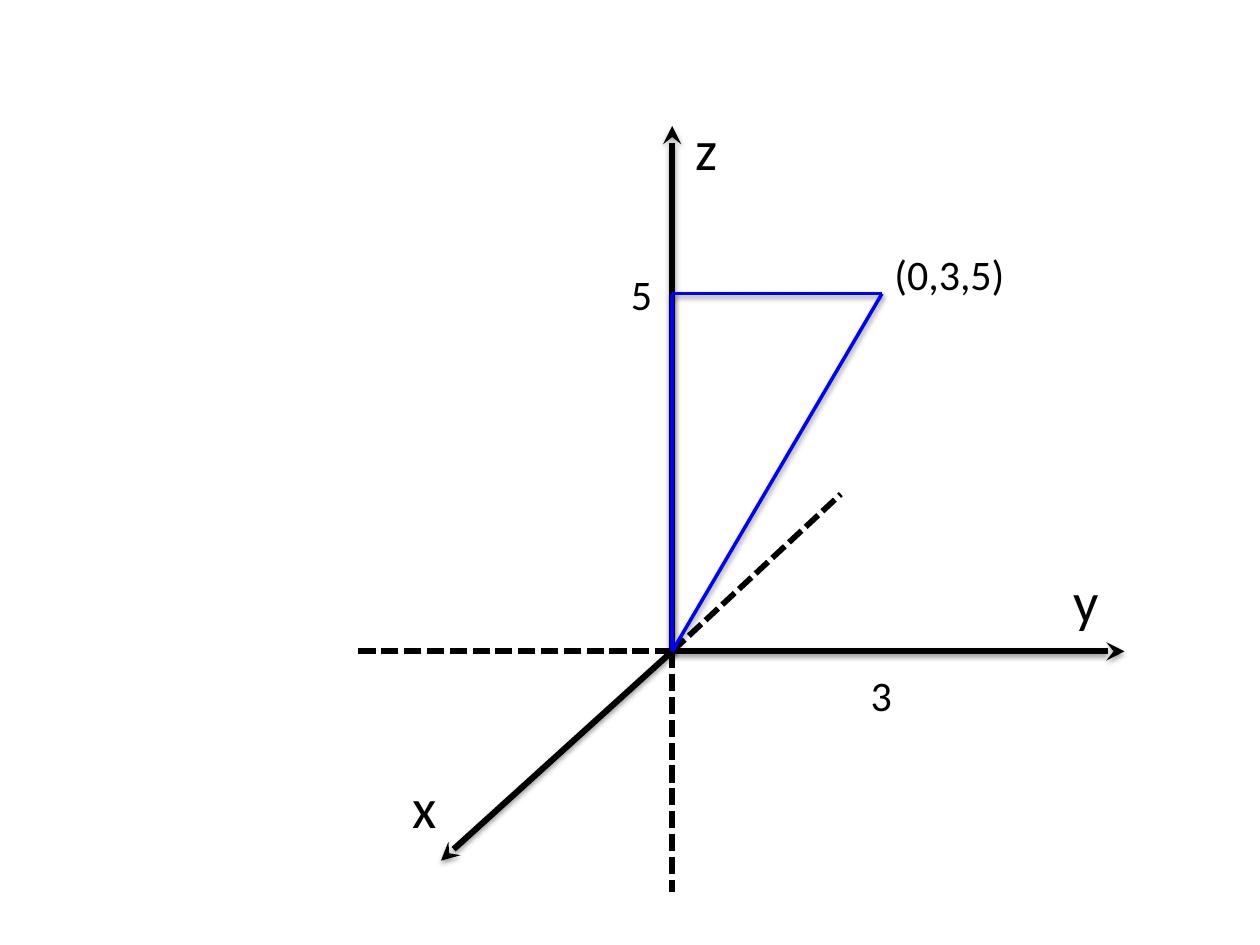
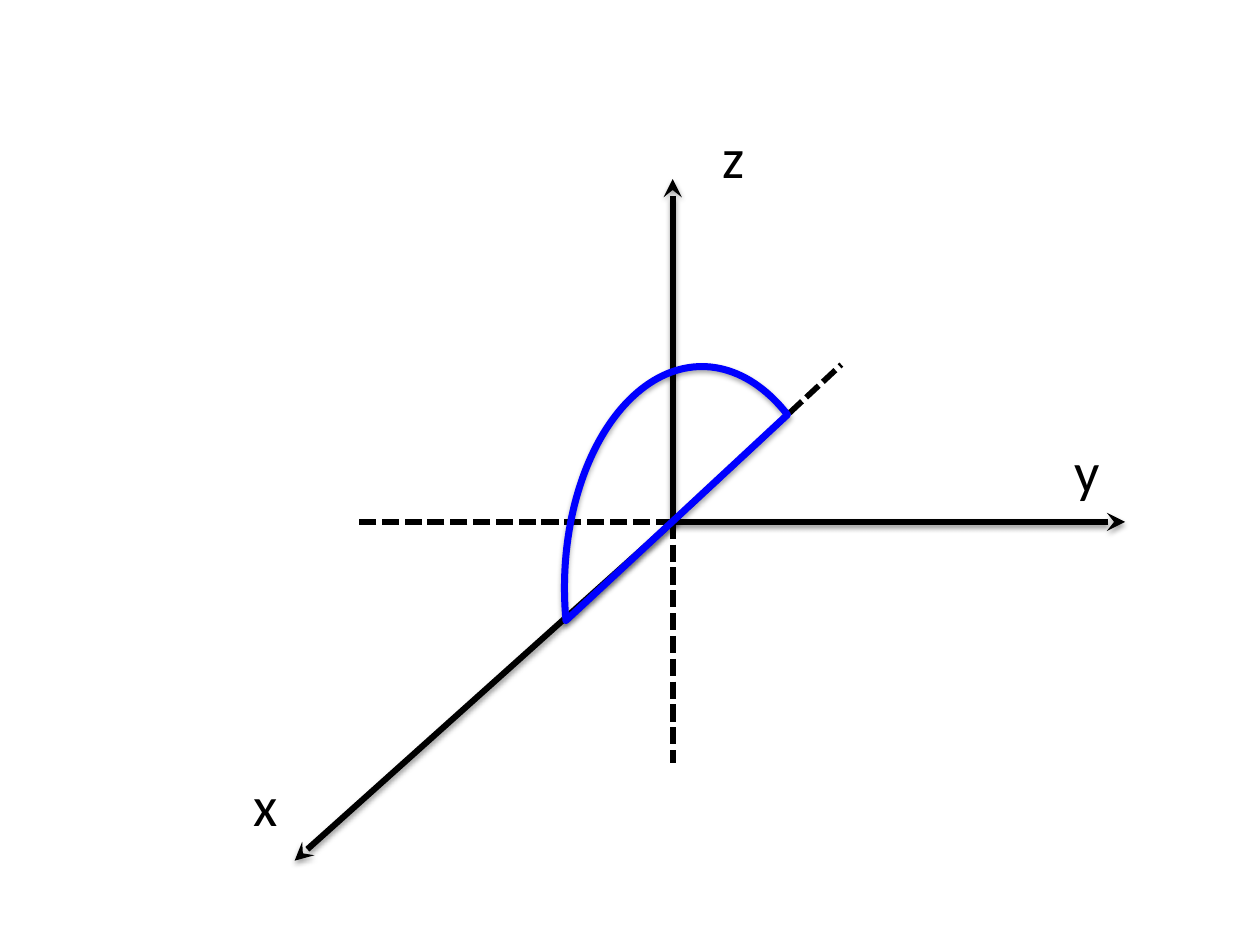
from dataclasses import dataclass

from lxml.etree import SubElement
from pptx import Presentation
from pptx.dml.color import RGBColor
from pptx.enum.dml import MSO_LINE_DASH_STYLE as Dash
from pptx.enum.shapes import MSO_CONNECTOR_TYPE as Connector, MSO_SHAPE as Shape
from pptx.enum.text import MSO_AUTO_SIZE as AutoSize
from pptx.oxml.ns import qn
from pptx.util import Cm, Pt


@dataclass(frozen=True)
class Theme:
    font: str = "Calibri"
    ink: RGBColor = RGBColor(0, 0, 0)
    figure: RGBColor = RGBColor(0, 0, 255)
    axis_size: int = 32
    value_size: int = 24
    axis_width: float = 3.5
    dash_width: float = 3.25
    triangle_width: float = 2
    chord_width: float = 4
    line_shadow: tuple = (1.6, 38)
    shape_shadow: tuple = (1.8, 35)
    shadow_blur: float = 3.1


THEME = Theme()

# Points are centimetre offsets from the origin of each coordinate system.
ORIGIN = (0, 0)
Y_TIP = (9.12, 0)
Y_LABEL = (7.85, -1.84)
DASH_ENDS = [(0, 4.86), (3.4, -3.17), (-6.35, 0)]
AXIS_BOX = (1.09, 1.63)
VALUE_BOX = (0.99, 1.27)
POINT_BOX = (2.97, 1.27)

TRIANGLE_PAGE = {
    "origin": (13.55, 13.13),
    "tips": [(0, -10.59), Y_TIP, (-4.66, 4.22)],
    "labels": [("x", (-5.49, 2.31)), ("y", Y_LABEL), ("z", (0.23, -10.94))],
    "triangle": [ORIGIN, (0, -7.21), (4.23, -7.21)],
    "values": [
        ("5", (-1.08, -7.84), VALUE_BOX),
        ("3", (3.75, 0.24), VALUE_BOX),
        ("(0,3,5)", (4.23, -8.25), POINT_BOX),
    ],
}
CHORD_PAGE = {
    "origin": (13.56, 10.52),
    "tips": [(0, -6.91), Y_TIP, (-7.62, 6.83)],
    "labels": [("x", (-8.69, 4.88)), ("y", Y_LABEL), ("z", (0.76, -8.18))],
    "chord": {"corner": (-2.18, -3.13), "size": (5.54, 8.92), "angles": (166.47, 296.32)},
}


def set_shadow(item, shadow):
    effects = SubElement(item.element.spPr, qn("a:effectLst"))
    if shadow:
        distance, opacity = shadow
        outer = SubElement(effects, qn("a:outerShdw"), blurRad=str(Pt(THEME.shadow_blur)),
                           dist=str(Pt(distance)), dir="5400000", rotWithShape="0")
        color = SubElement(outer, qn("a:srgbClr"), val=str(THEME.ink))
        SubElement(color, qn("a:alpha"), val=str(opacity * 1000))


class Plot:
    def __init__(self, page, origin):
        self.shapes = page.shapes
        self.origin = origin

    def place(self, point):
        return [Cm(start + offset) for start, offset in zip(self.origin, point)]

    def line(self, start, end, color, width, dashed=False, arrow=False):
        line = self.shapes.add_connector(Connector.STRAIGHT, *self.place(start), *self.place(end))
        line.line.color.rgb = color
        line.line.width = Pt(width)
        if dashed:
            line.line.dash_style = Dash.SQUARE_DOT
        if arrow:
            SubElement(line.get_or_add_ln(), qn("a:tailEnd"), type="stealth")
        set_shadow(line, None if dashed else THEME.line_shadow)

    def label(self, text, point, size, font_size):
        box = self.shapes.add_textbox(*self.place(point), *map(Cm, size))
        frame = box.text_frame
        frame.text = text
        frame.word_wrap = False
        frame.auto_size = AutoSize.SHAPE_TO_FIT_TEXT
        font = frame.paragraphs[0].runs[0].font
        font.name = THEME.font
        font.size = Pt(font_size)
        font.color.rgb = THEME.ink

    def axes(self, tips, labels):
        for tip in tips:
            self.line(ORIGIN, tip, THEME.ink, THEME.axis_width, arrow=True)
        for text, point in labels:
            self.label(text, point, AXIS_BOX, THEME.axis_size)
        for end in DASH_ENDS:
            self.line(ORIGIN, end, THEME.ink, THEME.dash_width, dashed=True)

    def triangle(self, corners):
        for start, end in zip(corners, corners[1:] + corners[:1]):
            self.line(start, end, THEME.figure, THEME.triangle_width)

    def chord(self, corner, size, angles):
        chord = self.shapes.add_shape(Shape.CHORD, *self.place(corner), *map(Cm, size))
        for index, angle in enumerate(angles):
            chord.adjustments[index] = angle * 0.6
        chord.fill.background()
        chord.line.color.rgb = THEME.figure
        chord.line.width = Pt(THEME.chord_width)
        set_shadow(chord, THEME.shape_shadow)


def add_plot(deck, content):
    page = deck.slides.add_slide(deck.slide_layouts[6])
    plot = Plot(page, content["origin"])
    plot.axes(content["tips"], content["labels"])
    return plot


def main():
    deck = Presentation()
    deck.slide_width, deck.slide_height = Cm(25.4), Cm(19.05)

    plot = add_plot(deck, TRIANGLE_PAGE)
    plot.triangle(TRIANGLE_PAGE["triangle"])
    for text, point, size in TRIANGLE_PAGE["values"]:
        plot.label(text, point, size, THEME.value_size)

    plot = add_plot(deck, CHORD_PAGE)
    plot.chord(**CHORD_PAGE["chord"])

    deck.save("out.pptx")


if __name__ == "__main__":
    main()
